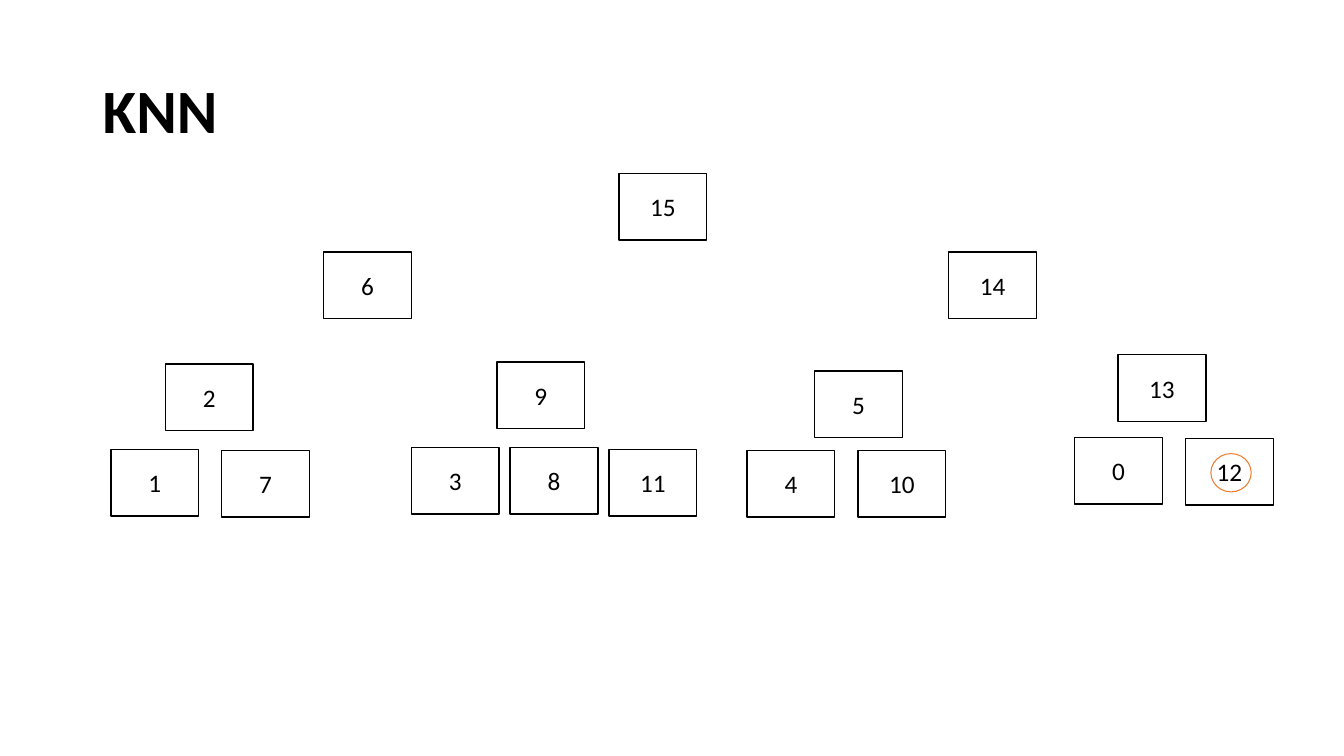
from dataclasses import dataclass

from pptx import Presentation
from pptx import util as u
from pptx.dml.color import RGBColor
from pptx.enum import shapes, text


@dataclass(frozen=True)
class Theme:
    font: str = "Calibri"
    ink: str = "000000"
    paper: str = "FFFFFF"
    accent: str = "ED7D31"
    title_size: float = 44
    node_size: float = 18
    node_line: float = 1
    ring_line: float = 0.75


# Tree levels from the root down: label, left, top
NODE_WIDTH, NODE_HEIGHT = 0.87, 0.66
LEVELS = [
    [("15", 6.14, 1.72)],
    [("6", 3.21, 2.5), ("14", 9.41, 2.5)],
    [("2", 1.64, 3.61), ("9", 4.93, 3.59), ("5", 8.08, 3.68), ("13", 11.09, 3.52)],
    [("1", 1.1, 4.46), ("7", 2.2, 4.47),
     ("3", 4.08, 4.44), ("8", 5.06, 4.44), ("11", 6.04, 4.46),
     ("4", 7.41, 4.47), ("10", 8.51, 4.47),
     ("0", 10.66, 4.34), ("12", 11.76, 4.35)],
]


def write(frame, words, *, font, size, color, bold=False,
          align=text.PP_ALIGN.LEFT, spacing=1.0):
    """Fill a text frame with one formatted, vertically centred paragraph."""
    frame.word_wrap = True
    frame.vertical_anchor = text.MSO_ANCHOR.MIDDLE
    para = frame.paragraphs[0]
    para.alignment = align
    para.line_spacing = spacing
    span = para.add_run()
    span.text = words
    span.font.name = font
    span.font.size = u.Pt(size)
    span.font.bold = bold
    span.font.color.rgb = RGBColor.from_string(color)


class TreeSlide:
    def __init__(self, slide, theme):
        self.slide = slide
        self.theme = theme

    def title(self, words, *bounds):
        box = self.slide.shapes.add_textbox(*map(u.Inches, bounds))
        write(box.text_frame, words, font=self.theme.font, color=self.theme.ink,
              size=self.theme.title_size, bold=True, spacing=0.9)

    def outline(self, kind, bounds, color, width):
        shape = self.slide.shapes.add_shape(kind, *map(u.Inches, bounds))
        shape.shadow.inherit = False
        shape.line.color.rgb = RGBColor.from_string(color)
        shape.line.width = u.Pt(width)
        return shape

    def node(self, label, left, top):
        box = self.outline(shapes.MSO_SHAPE.RECTANGLE,
                           (left, top, NODE_WIDTH, NODE_HEIGHT),
                           self.theme.ink, self.theme.node_line)
        box.fill.solid()
        box.fill.fore_color.rgb = RGBColor.from_string(self.theme.paper)
        write(box.text_frame, label, font=self.theme.font, color=self.theme.ink,
              size=self.theme.node_size, align=text.PP_ALIGN.CENTER)

    def ring(self, *bounds):
        ring = self.outline(shapes.MSO_SHAPE.OVAL, bounds,
                            self.theme.accent, self.theme.ring_line)
        ring.fill.background()


def main():
    deck = Presentation()
    deck.slide_width, deck.slide_height = u.Inches(13.33), u.Inches(7.5)
    page = TreeSlide(deck.slides.add_slide(deck.slide_layouts[6]), Theme())

    # Heading
    page.title("KNN", 0.92, 0.4, 11.5, 1.45)

    # Tree nodes
    for level in LEVELS:
        for label, left, top in level:
            page.node(label, left, top)

    # Mark around the chosen leaf
    page.ring(12.01, 4.5, 0.4, 0.38)

    deck.save("out.pptx")


if __name__ == "__main__":
    main()
